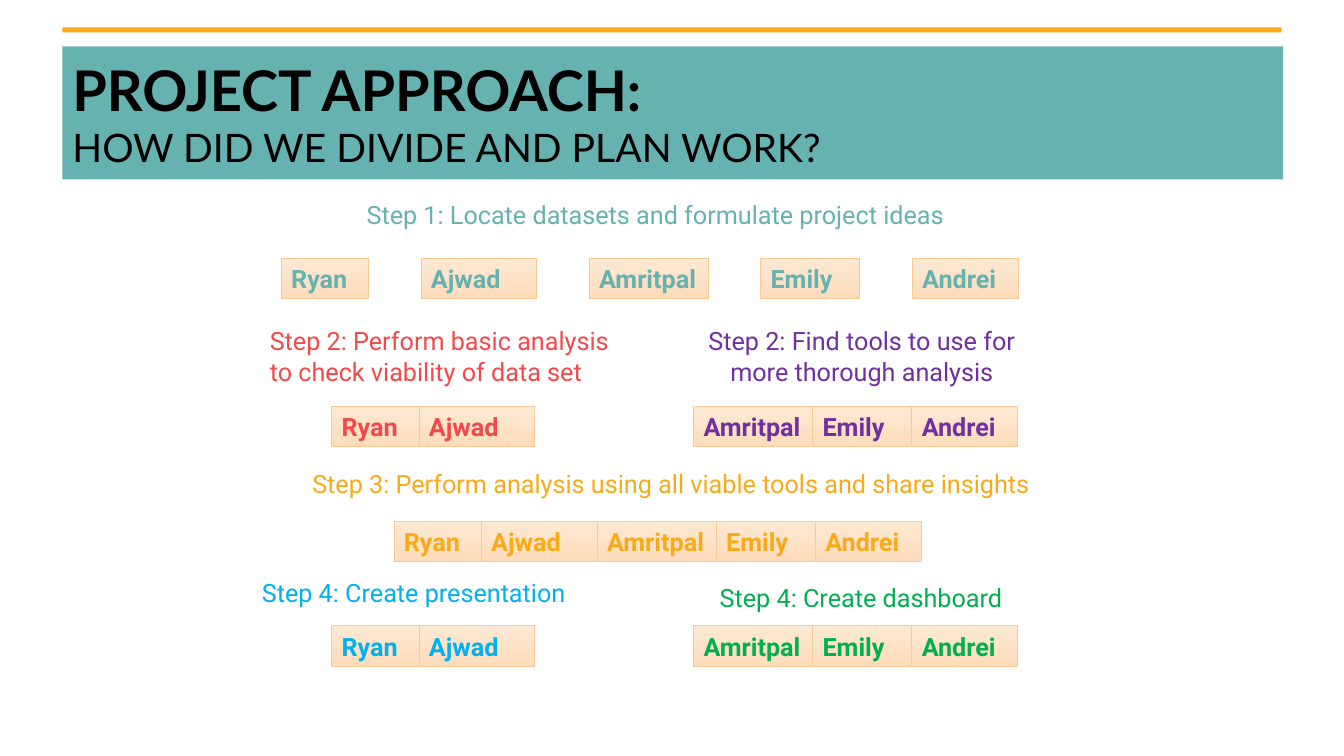
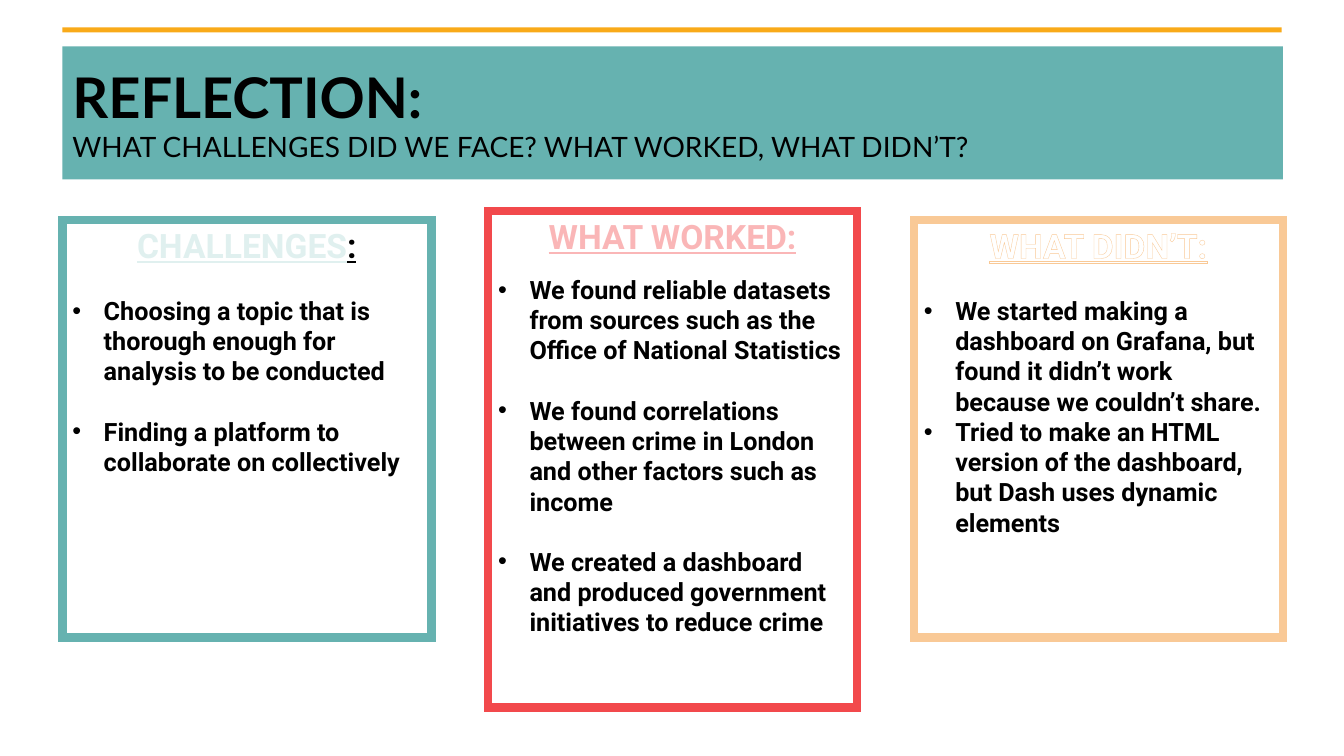
from lxml import etree
from pptx import Presentation
from pptx.dml.color import RGBColor
from pptx.enum import dml, shapes, text
from pptx.oxml.ns import qn
from pptx.util import Cm, Pt

COLORS = {
    "black": "000000", "white": "FFFFFF", "teal": "66B2B0", "mint": "E0F0EF",
    "gold": "F9AA19", "red": "F2494C", "pink": "FAB6B7", "purple": "7030A0",
    "blue": "00B0F0", "green": "00B050", "peach": "F9C996", "cream": "FBDFC0",
    "chip top": "FDE9D4", "chip bottom": "FEDCBB",
}
TITLE_FONT, BODY_FONT = "Lato", "Roboto"
LEFT, CENTER = text.PP_ALIGN.LEFT, text.PP_ALIGN.CENTER
TOP, MIDDLE = text.MSO_ANCHOR.TOP, text.MSO_ANCHOR.MIDDLE

# Name chips: widths in cm
CHIP_WIDTHS = {"Ryan": 2.2, "Ajwad": 2.92, "Amritpal": 3, "Emily": 2.5, "Andrei": 2.67}
CHIP_HEIGHT = 1.02
EVERYONE = list(CHIP_WIDTHS)
PAIR, TRIO = EVERYONE[:2], EVERYONE[2:]

# Reflection panels, in cm
PANEL_LEFT, PANEL_PITCH, PANEL_WIDTH = 1.57, 10.73, 9.3
BULLET_INDENT = Cm(0.79)


def rgb(name):
    return RGBColor.from_string(COLORS[name])


def place(shape, left, top, width, height):
    shape.left, shape.top = Cm(left), Cm(top)
    shape.width, shape.height = Cm(width), Cm(height)


def paint(fill, color):
    fill.solid()
    fill.fore_color.rgb = rgb(color)


def style_run(run, size, color, bold=False, font=BODY_FONT):
    run.font.name, run.font.size, run.font.bold = font, Pt(size), bold
    paint(run.font.fill, color)


def prepare_frame(shape, anchor):
    frame = shape.text_frame
    frame.word_wrap = True
    frame.auto_size = text.MSO_AUTO_SIZE.NONE
    frame.vertical_anchor = anchor
    return frame


def add_rectangle(slide, left, top, width, height):
    shape = slide.shapes.add_shape(shapes.MSO_SHAPE.RECTANGLE,
                                   Cm(left), Cm(top), Cm(width), Cm(height))
    shape.shadow.inherit = False
    return shape


def add_slide(presentation, layout_index, heading, question, question_size):
    """Slide with the shared gold rule and teal title band."""
    slide = presentation.slides.add_slide(presentation.slide_layouts[layout_index])
    rule = add_rectangle(slide, 1.57, 0.69, 30.73, 0.13)
    paint(rule.fill, "gold")
    rule.line.fill.background()

    title = slide.shapes.title
    place(title, 1.57, 1.17, 30.76, 3.35)
    paint(title.fill, "teal")
    frame = prepare_frame(title, MIDDLE)
    frame.text = f"{heading}\n{question}"
    for paragraph, size, bold in zip(frame.paragraphs, (40, question_size), (True, False)):
        paragraph.alignment = LEFT
        style_run(paragraph.runs[0], size, "black", bold, TITLE_FONT)
    return slide


def add_step(slide, label, color, left, top, width, height=1.02, alignment=LEFT):
    box = slide.shapes.add_textbox(Cm(left), Cm(top), Cm(width), Cm(height))
    frame = prepare_frame(box, TOP)
    frame.text = label
    paragraph = frame.paragraphs[0]
    paragraph.alignment = alignment
    style_run(paragraph.runs[0], 18, color)


def add_chips(slide, names, color, left, top, gap=0):
    """Row of name chips, each following the one before."""
    for name in names:
        chip = add_rectangle(slide, left, top, CHIP_WIDTHS[name], CHIP_HEIGHT)
        chip.fill.gradient()
        chip.fill.gradient_angle = 270
        for stop, shade in zip(chip.fill.gradient_stops, ("chip top", "chip bottom")):
            stop.color.rgb = rgb(shade)
        paint(chip.line.fill, "peach")
        chip.line.width = Pt(0.5)
        frame = prepare_frame(chip, MIDDLE)
        frame.text = name
        frame.paragraphs[0].alignment = LEFT
        style_run(frame.paragraphs[0].runs[0], 18, color, bold=True)
        left += CHIP_WIDTHS[name] + gap


def set_bullet(paragraph, bulleted):
    properties = paragraph._p.get_or_add_pPr()
    indent = BULLET_INDENT if bulleted else 0
    properties.set("marL", str(indent))
    properties.set("indent", str(-indent))
    if bulleted:
        etree.SubElement(properties, qn("a:buFont"), typeface="Arial")
        etree.SubElement(properties, qn("a:buChar"), char="•")
    else:
        etree.SubElement(properties, qn("a:buNone"))


def outline_run(run, color, width):
    line = etree.Element(qn("a:ln"), w=str(Pt(width)))
    fill = etree.SubElement(line, qn("a:solidFill"))
    etree.SubElement(fill, qn("a:srgbClr"), val=COLORS[color])
    run._r.get_or_add_rPr().insert(0, line)


def pattern_run(run, pattern, foreground, background):
    fill = run.font.fill
    fill.patterned()
    fill.pattern = pattern
    fill.fore_color.rgb, fill.back_color.rgb = rgb(foreground), rgb(background)


def fill_panel(panel, column, top, height, color, heading, bullets, gaps):
    """Framed panel with a heading and a bullet list; returns the heading's run."""
    place(panel, PANEL_LEFT + column * PANEL_PITCH, top, PANEL_WIDTH, height)
    paint(panel.fill, "white")
    paint(panel.line.fill, color)
    panel.line.width = Pt(6)
    etree.SubElement(panel._element.spPr.find(qn("a:ln")), qn("a:miter"), lim="800000")

    frame = prepare_frame(panel, TOP)
    frame.text = "\n".join([heading, *bullets])
    first_gap, next_gap = gaps
    for index, paragraph in enumerate(frame.paragraphs):
        is_bullet = index > 0
        set_bullet(paragraph, is_bullet)
        paragraph.alignment = LEFT if is_bullet else CENTER
        paragraph.space_before = Pt((0, first_gap)[index] if index < 2 else next_gap)
        style_run(paragraph.runs[0], 18 if is_bullet else 24, "black", bold=True)
    heading_run = frame.paragraphs[0].runs[0]
    heading_run.font.underline = True
    return heading_run


def build_approach(presentation):
    slide = add_slide(presentation, 5, "PROJECT APPROACH:",
                      "HOW DID WE DIVIDE AND PLAN WORK?", 28)
    pair_left, trio_left = 8.36, 17.48

    # Step 1: everyone, spread out
    add_step(slide, "Step 1: Locate datasets and formulate project ideas",
             "teal", 8.99, 4.9, 15.34)
    add_chips(slide, EVERYONE, "teal", 7.09, 6.5, gap=1.32)

    # Step 2: two teams
    add_step(slide, "Step 2: Perform basic analysis to check viability of data set",
             "red", 6.55, 8.08, 9.14, 1.8)
    add_step(slide, "Step 2: Find tools to use for more thorough analysis",
             "purple", 17.15, 8.08, 9.14, 1.8, CENTER)
    add_chips(slide, PAIR, "red", pair_left, 10.24)
    add_chips(slide, TRIO, "purple", trio_left, 10.24)

    # Step 3: everyone, side by side
    add_step(slide, "Step 3: Perform analysis using all viable tools and share insights",
             "gold", 7.62, 11.68, 18.62)
    add_chips(slide, EVERYONE, "gold", 9.93, 13.13)

    # Step 4: two teams
    add_step(slide, "Step 4: Create presentation", "blue", 6.35, 14.43, 8.61)
    add_step(slide, "Step 4: Create dashboard", "green", 17.65, 14.55, 8.1,
             alignment=CENTER)
    add_chips(slide, PAIR, "blue", pair_left, 15.77)
    add_chips(slide, TRIO, "green", trio_left, 15.77)


def build_reflection(presentation):
    slide = add_slide(presentation, 4, "REFLECTION:",
                      "WHAT CHALLENGES DID WE FACE? WHAT WORKED, WHAT DIDN’T?", 20)
    bodies = [shape for shape in slide.placeholders if shape != slide.shapes.title]
    challenges, worked, failed, spare = bodies
    spare._element.getparent().remove(spare._element)
    line_gap = 21.5

    # Challenges
    run = fill_panel(challenges, 0, 5.54, 10.52, "teal", "CHALLENGES", [
        "Choosing a topic that is thorough enough for analysis to be conducted",
        "Finding a platform to collaborate on collectively",
    ], (line_gap, line_gap))
    pattern_run(run, dml.MSO_PATTERN.PERCENT_50, "teal", "mint")
    outline_run(run, "teal", 1)
    colon = challenges.text_frame.paragraphs[0].add_run()
    colon.text = ":"
    style_run(colon, 24, "black", bold=True)
    colon.font.underline = True

    # What worked
    run = fill_panel(worked, 1, 5.31, 12.52, "red", "WHAT WORKED:", [
        "We found reliable datasets from sources such as the Office of National Statistics",
        "We found correlations between crime in London and other factors such as income",
        "We created a dashboard and produced government initiatives to reduce crime",
    ], (13, line_gap))
    paint(run.font.fill, "pink")
    outline_run(run, "red", 1.75)

    # What didn't
    run = fill_panel(failed, 2, 5.54, 10.52, "peach", "WHAT DIDN’T:", [
        "We started making a dashboard on Grafana, but found it didn’t work "
        "because we couldn’t share.",
        "Tried to make an HTML version of the dashboard, but Dash uses dynamic elements",
    ], (line_gap, 0))
    pattern_run(run, dml.MSO_PATTERN.LIGHT_DOWNWARD_DIAGONAL, "cream", "white")
    outline_run(run, "peach", 1)


def main():
    presentation = Presentation()
    presentation.slide_width, presentation.slide_height = Cm(33.87), Cm(19.05)
    build_approach(presentation)
    build_reflection(presentation)
    presentation.save("out.pptx")


if __name__ == "__main__":
    main()
